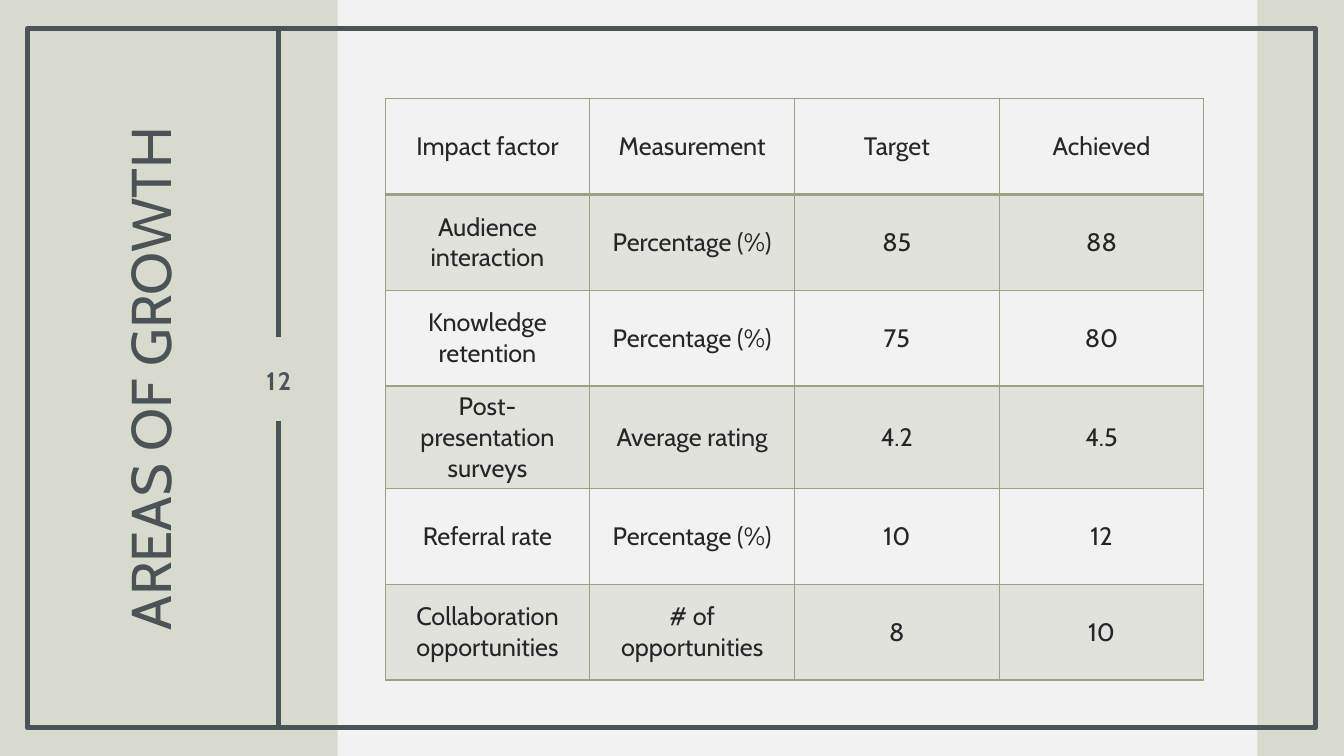
from dataclasses import dataclass
from lxml.etree import SubElement as Sub
from pptx import Presentation as Deck
from pptx.dml.color import RGBColor as Color
from pptx.enum.shapes import MSO_CONNECTOR as Link, MSO_SHAPE as Form
from pptx.enum.text import MSO_ANCHOR as Anchor, MSO_AUTO_SIZE as Auto, PP_ALIGN as Align
from pptx.oxml.ns import qn
from pptx.util import Inches, Pt


@dataclass(frozen=True)
class Theme:
    font: str = "Cabin"
    back: str = "F2F2F2"
    band: str = "D7DACD"
    dark: str = "4A5356"
    ink: str = "262626"
    sage: str = "9CA383"
    tint: int = 20
    head: int = 40
    body: int = 18
    rule: float = 3.5


class Page:
    def __init__(self, deck, theme):
        self.theme = theme
        self.slide = deck.slides.add_slide(deck.slide_layouts[5])
        self.shapes = self.slide.shapes
        fill = self.slide.background.fill
        fill.solid()
        fill.fore_color.rgb = Color.from_string(theme.back)

    def style(self, frame, size, color, bold=False):
        frame.vertical_anchor = Anchor.MIDDLE
        para = frame.paragraphs[0]
        para.alignment = Align.CENTER
        for run in para.runs:
            run.font.name = self.theme.font
            run.font.size = Pt(size)
            run.font.bold = bold
            run.font.color.rgb = Color.from_string(color)
        return para

    def inset(self, frame, side, end):
        frame.margin_left = frame.margin_right = Inches(side)
        frame.margin_top = frame.margin_bottom = Inches(end)
        frame.word_wrap = True
        frame.auto_size = Auto.NONE

    def stroke(self, line):
        line.color.rgb = Color.from_string(self.theme.dark)
        line.width = Pt(self.theme.rule)

    def rect(self, *box, fill=None):
        shape = self.shapes.add_shape(Form.RECTANGLE, *map(Inches, box))
        shape.shadow.inherit = False
        if fill:
            shape.fill.solid()
            shape.fill.fore_color.rgb = Color.from_string(fill)
            shape.line.fill.background()
        else:
            shape.fill.background()
            self.stroke(shape.line)

    def rule(self, *ends):
        line = self.shapes.add_connector(Link.STRAIGHT, *map(Inches, ends))
        self.stroke(line.line)
        Sub(line.element.spPr, qn("a:effectLst"))

    def title(self, text, *box):
        shape = self.shapes.title
        shape.left, shape.top, shape.width, shape.height = map(Inches, box)
        shape.rotation = 270
        self.inset(shape.text_frame, 0.2, 0)
        shape.text_frame.text = text
        para = self.style(shape.text_frame, self.theme.head, self.theme.dark)
        para.line_spacing = 0.9
        shape.element.getparent().append(shape.element)

    def number(self, text, *box):
        frame = self.shapes.add_textbox(*map(Inches, box)).text_frame
        self.inset(frame, 0, 0.05)
        frame.text = text
        para = self.style(frame, self.theme.body, self.theme.dark, True)
        para.runs[0].font._element.set("spc", "150")

    def edge(self, cell, top, low):
        props = cell._tc.get_or_add_tcPr()
        sides = (("L", 1), ("R", 1), ("T", top), ("B", low))
        for spot, (side, width) in enumerate(sides):
            line = Sub(props, qn("a:ln" + side), w=str(Pt(width)))
            Sub(Sub(line, qn("a:solidFill")), qn("a:srgbClr"), val=self.theme.sage)
            props.insert(spot, line)

    def shade(self, cell, tint):
        if not tint:
            cell.fill.background()
            return
        cell.fill.solid()
        cell.fill.fore_color.rgb = Color.from_string(self.theme.sage)
        color = cell._tc.tcPr.find(".//" + qn("a:srgbClr"))
        Sub(color, qn("a:alpha"), val=str(self.theme.tint * 1000))

    def table(self, rows, *box):
        size = len(rows), len(rows[0])
        grid = self.shapes.add_table(*size, *map(Inches, box)).table
        grid.first_row = grid.horz_banding = False
        for r, row in enumerate(rows):
            for c, text in enumerate(row):
                cell = grid.cell(r, c)
                cell.text = text
                cell.vertical_anchor = Anchor.MIDDLE
                self.style(cell.text_frame, self.theme.body, self.theme.ink)
                self.shade(cell, r % 2)
                self.edge(cell, 2 if r == 1 else 1, 2 if r == 0 else 1)


def main():
    deck = Deck()
    deck.slide_width, deck.slide_height = Inches(13.33), Inches(7.5)
    theme = Theme()
    page = Page(deck, theme)
    for left, width in ((12.47, 0.86), (0, 3.35)):
        page.rect(left, 0, width, 7.5, fill=theme.band)
    page.rect(0.27, 0.28, 12.78, 6.94)
    for top, low in ((0.28, 3.34), (4.18, 7.24)):
        page.rule(2.76, top, 2.76, low)
    page.title("AREAS OF GROWTH", -1.91, 2.51, 6.86, 2.49)
    page.number("12", 2.4, 3.35, 0.73, 0.84)
    rows = (
        ("Impact factor", "Measurement", "Target", "Achieved"),
        ("Audience interaction", "Percentage (%)", "85", "88"),
        ("Knowledge retention", "Percentage (%)", "75", "80"),
        ("Post-presentation surveys", "Average rating", "4.2", "4.5"),
        ("Referral rate", "Percentage (%)", "10", "12"),
        ("Collaboration opportunities", "# of opportunities", "8", "10"),
    )
    page.table(rows, 3.82, 0.98, 8.12, 5.7)
    deck.save("out.pptx")


if __name__ == "__main__":
    main()
